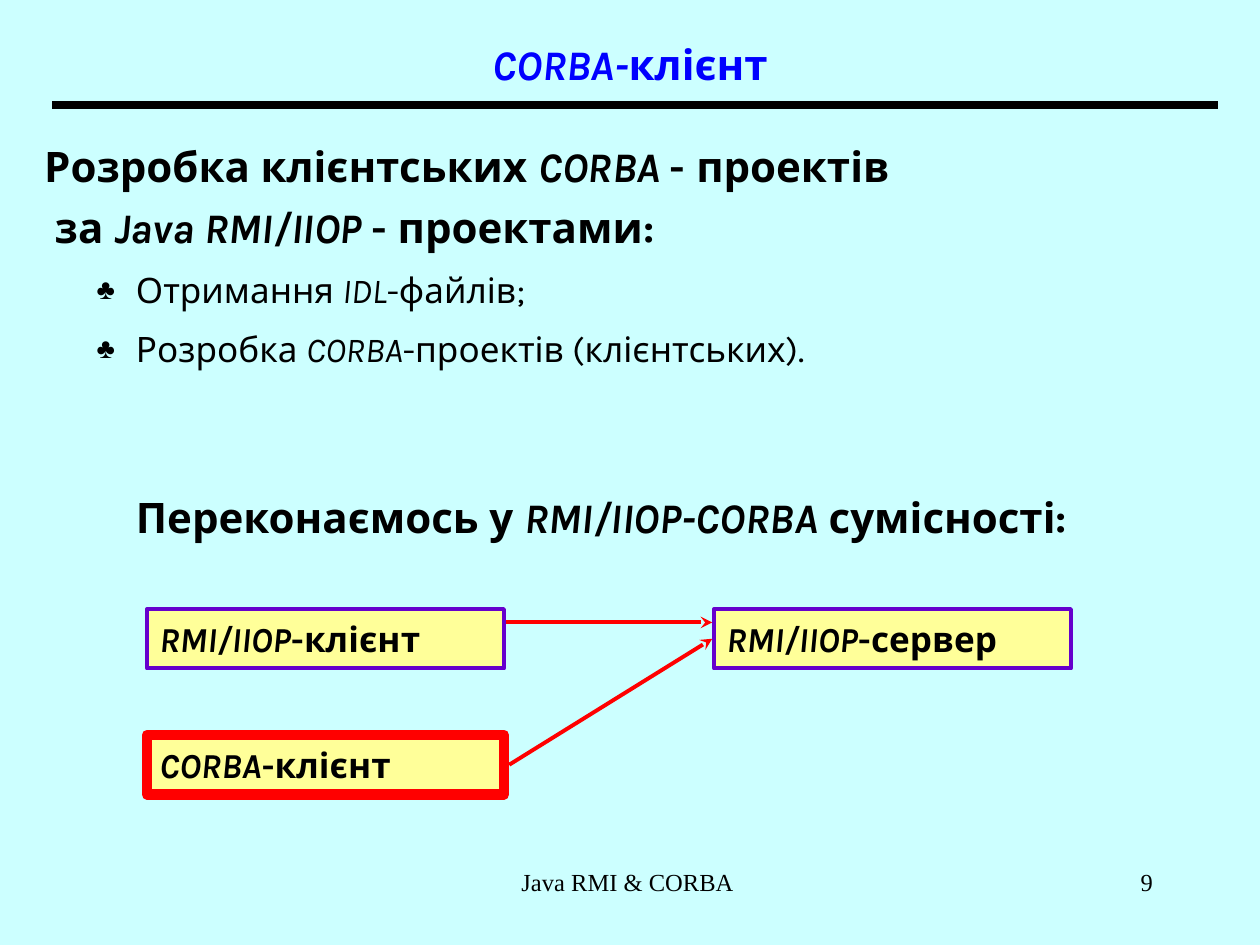
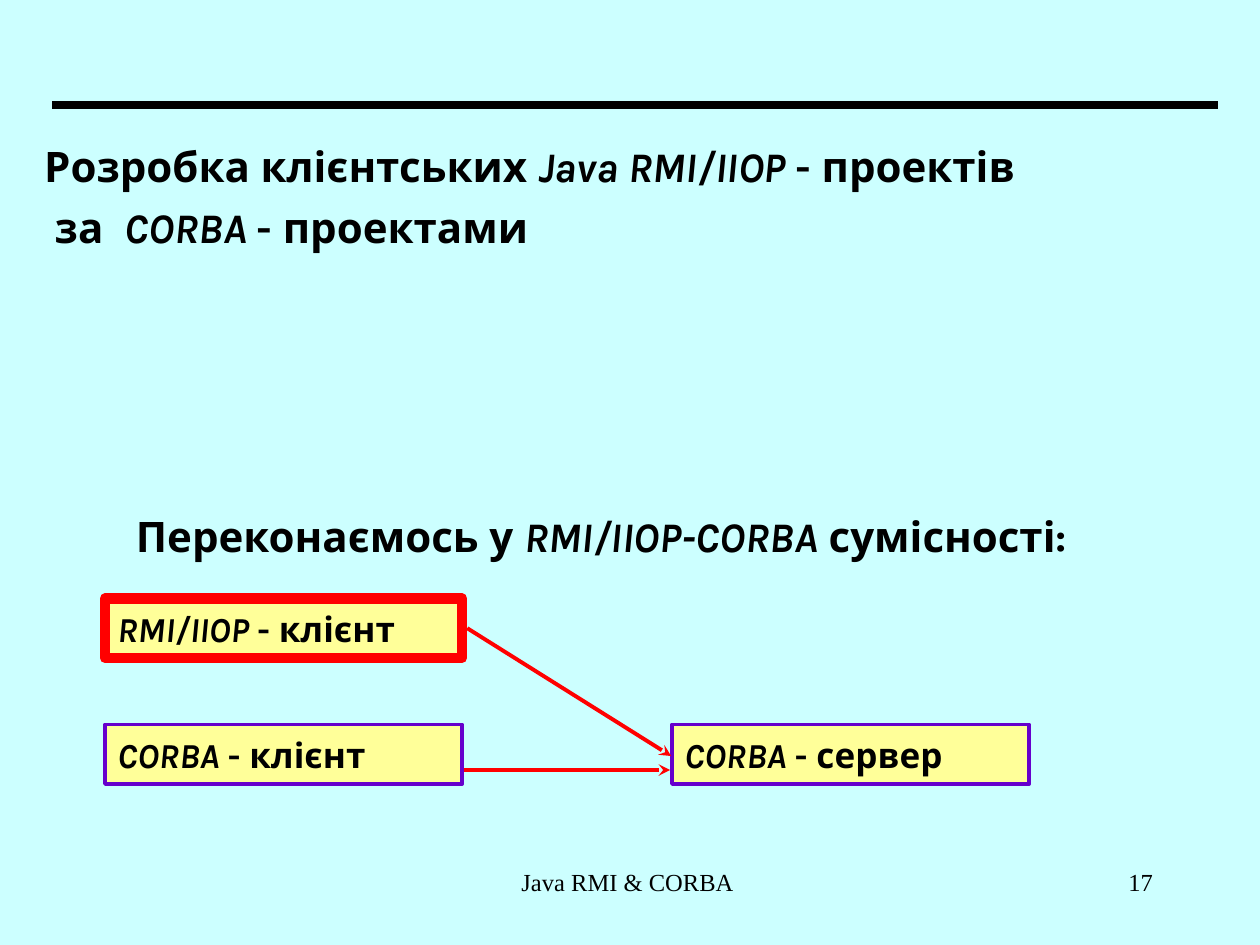
import pptx
import pptx.dml.color
import pptx.enum.shapes
import pptx.enum.text
import pptx.oxml.ns
import pptx.util
from lxml import etree

Pt = pptx.util.Pt
Color = pptx.dml.color.RGBColor
Align = pptx.enum.text.PP_ALIGN
Anchor = pptx.enum.text.MSO_ANCHOR
qn = pptx.oxml.ns.qn

SKY = Color(0xCC, 0xFF, 0xFF)
CREAM = Color(0xFF, 0xFF, 0x99)
VIOLET = Color(0x66, 0x00, 0xCC)
RED = Color(0xFF, 0x00, 0x00)
BLUE = Color(0x00, 0x00, 0xFF)
BLACK = Color(0x00, 0x00, 0x00)
SANS, SERIF = "Karla", "Times New Roman"

INDENT = 52.5              # left edge of the second level
HANG = 22.5                # room for the bullet
BOX_W, BOX_H = 204, 34     # node of the scheme
STEP_X, STEP_Y = 324, 72   # pitch of the scheme's grid


def place(shape, box):
    shape.left, shape.top, shape.width, shape.height = map(Pt, box)


def frame(shape, anchor=Anchor.TOP, right=7.2):
    text = shape.text_frame
    text.word_wrap = True
    text.auto_size = pptx.enum.text.MSO_AUTO_SIZE.NONE
    text.vertical_anchor = anchor
    text.margin_left, text.margin_right = Pt(7.2), Pt(right)
    text.margin_top = text.margin_bottom = Pt(3.6)
    return text


def style(para, size, bold=False, name=SANS, color=BLACK):
    font = para.font
    font.size, font.bold, font.name = Pt(size), bold, name
    font.color.rgb = color


def write(para, text):
    """Text between asterisks is italic; a newline breaks the line."""
    for num, part in enumerate(text.split("*")):
        for row, line in enumerate(part.split("\n")):
            if row:
                para.add_line_break()
            if line:
                run = para.add_run()
                run.text = line
                run.font.italic = num % 2 == 1


def mark(para, left=0, sign=None):
    """Set the indent and the bullet of a body paragraph."""
    props = para._p.get_or_add_pPr()
    props.set("marL", str(Pt(left)))
    props.set("indent", str(Pt(-HANG if sign else 0)))
    if not sign:
        etree.SubElement(props, qn("a:buNone"))
        return
    tint = etree.SubElement(props, qn("a:buClr"))
    etree.SubElement(tint, qn("a:srgbClr"), val=str(BLACK))
    etree.SubElement(props, qn("a:buSzPct"), val="80000")
    etree.SubElement(props, qn("a:buChar"), char=sign)


def line(slide, start, end, color, width, arrow=False):
    link = slide.shapes.add_connector(
        pptx.enum.shapes.MSO_CONNECTOR.STRAIGHT, *map(Pt, start + end))
    link.line.color.rgb = color
    link.line.width = Pt(width)
    if arrow:
        etree.SubElement(link.line._get_or_add_ln(), qn("a:tailEnd"), type="stealth")
    etree.SubElement(link._element.spPr, qn("a:effectLst"))


def label(slide, box, text, align):
    shape = slide.shapes.add_textbox(*map(Pt, box))
    para = frame(shape).paragraphs[0]
    para.alignment = align
    style(para, 14, name=SERIF)
    write(para, text)


def base(deck, page):
    """Background, rule and footer of every slide."""
    slide = deck.slides.add_slide(deck.slide_layouts[1])
    fill = slide.background.fill
    fill.solid()
    fill.fore_color.rgb = SKY
    line(slide, (30, 60), (696, 60), BLACK, 4.5)
    label(slide, (246, 492, 228, 36), "Java RMI & CORBA ", Align.CENTER)
    label(slide, (516, 492, 150, 36), str(page), Align.RIGHT)
    return slide


def title(slide, box, text):
    shape = slide.shapes.title
    if not text:
        shape._element.getparent().remove(shape._element)
        return
    place(shape, box)
    para = frame(shape, Anchor.MIDDLE).paragraphs[0]
    para.alignment = Align.CENTER
    para.line_spacing = 0.8
    style(para, 24, True, color=BLUE)
    write(para, text)


def body(slide, box, head, items, gap):
    """Heading, bulleted items and, after a gap, the scheme's heading."""
    shape = slide.placeholders[1]
    place(shape, box)
    text = frame(shape)
    rows = [(head, 0, 0, None, 24)]
    rows += [(item, 5, INDENT, "♣", 20) for item in items]
    rows.append(("Переконаємось у *RMI/IIOP-CORBA* сумісності:", gap, INDENT, None, 24))
    for num, (words, before, left, sign, size) in enumerate(rows):
        para = text.add_paragraph() if num else text.paragraphs[0]
        para.level = 1 if sign else 0
        para.line_spacing = 1.2
        para.space_before = Pt(before)
        mark(para, left, sign)
        style(para, size, bold=not sign)
        write(para, words)


def scheme(slide, origin, nodes, links):
    """Nodes are (column, row, text, is new); links are relative to origin."""
    left, top = origin
    for col, row, text, new in nodes:
        box = (left + col * STEP_X, top + row * STEP_Y, BOX_W, BOX_H)
        node = slide.shapes.add_shape(
            pptx.enum.shapes.MSO_SHAPE.RECTANGLE, *map(Pt, box))
        node.shadow.inherit = False
        node.fill.solid()
        node.fill.fore_color.rgb = CREAM
        node.line.color.rgb = RED if new else VIOLET
        node.line.width = Pt(6 if new else 2.25)
        para = frame(node, Anchor.MIDDLE, right=0).paragraphs[0]
        para.alignment = Align.LEFT
        style(para, 20, True)
        write(para, text)
    for x1, y1, x2, y2 in links:
        line(slide, (left + x1, top + y1), (left + x2, top + y2), RED, 2.25, True)


PAGES = [
    dict(page=9, title="*CORBA-*клієнт",
         head="Розробка клієнтських *CORBA *- проектів\n за *Java RMI/IIOP *- проектами:",
         items=["Отримання *IDL*-файлів;",
                "Розробка *CORBA*-проектів (клієнтських)."],
         gap=64, origin=(84, 348),
         nodes=[(0, 0, "*RMI/IIOP*-клієнт", False),
                (0, 1, "*CORBA*-клієнт", True),
                (1, 0, "*RMI/IIOP*-сервер", False)],
         links=[(205, 7.7, 323, 7.7), (207, 89, 323, 17)]),
    dict(page=17, title=None,
         head="Розробка клієнтських *Java RMI/IIOP *- проектів\n за  *CORBA *- проектами",
         items=[], gap=142, origin=(60, 342),
         nodes=[(0, 0, "*RMI/IIOP *- клієнт", True),
                (0, 1, "*CORBA *- клієнт", False),
                (1, 1, "*CORBA *- сервер", False)],
         links=[(207, 17, 323.5, 90), (205, 98, 323, 98)]),
]


def main():
    deck = pptx.Presentation()
    deck.slide_width, deck.slide_height = Pt(720), Pt(540)
    for item in PAGES:
        slide = base(deck, item["page"])
        title(slide, (0, 0, 720, 78), item["title"])
        body(slide, (18, 71, 672, 374), item["head"], item["items"], item["gap"])
        scheme(slide, item["origin"], item["nodes"], item["links"])
    deck.save("out.pptx")


if __name__ == "__main__":
    main()
